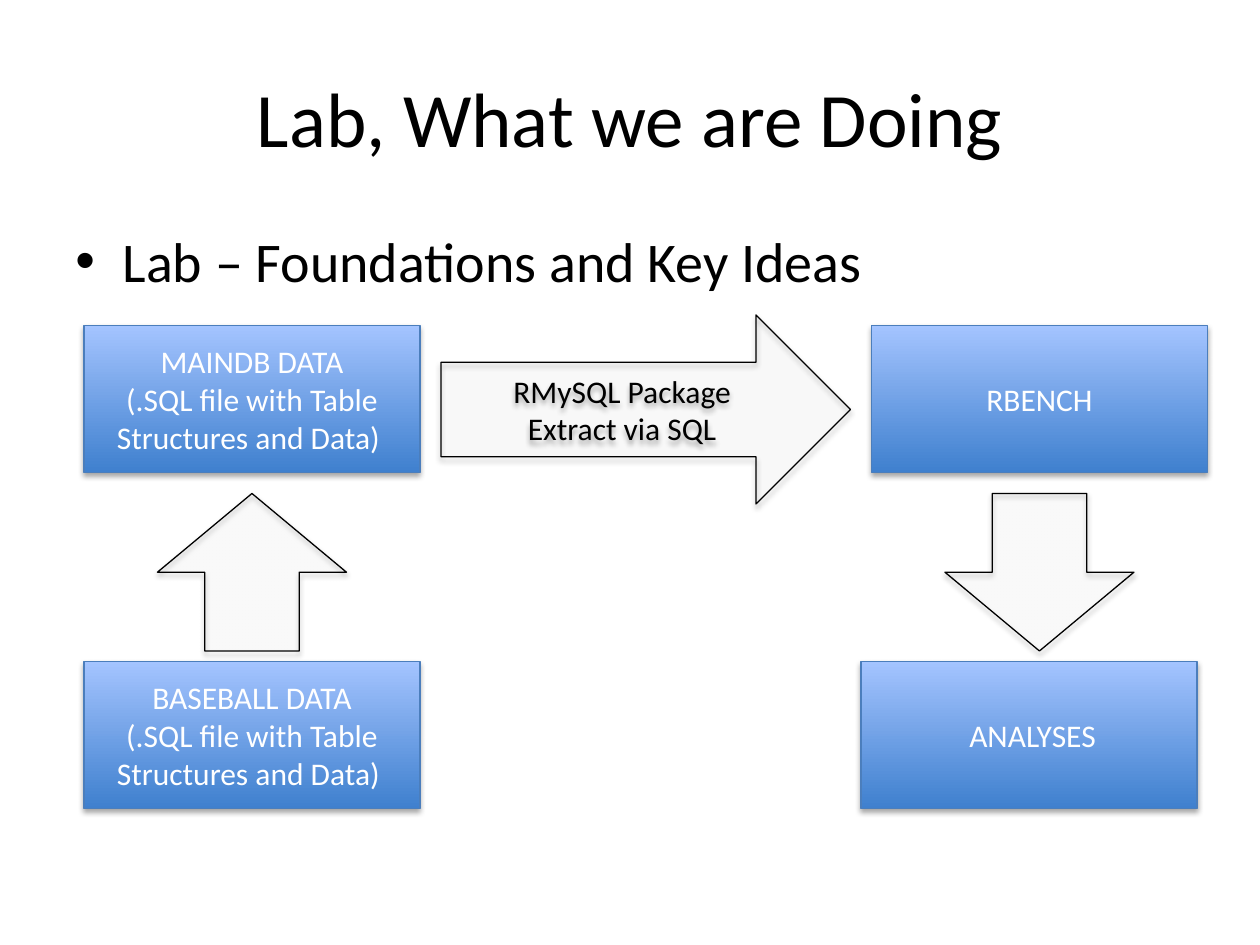
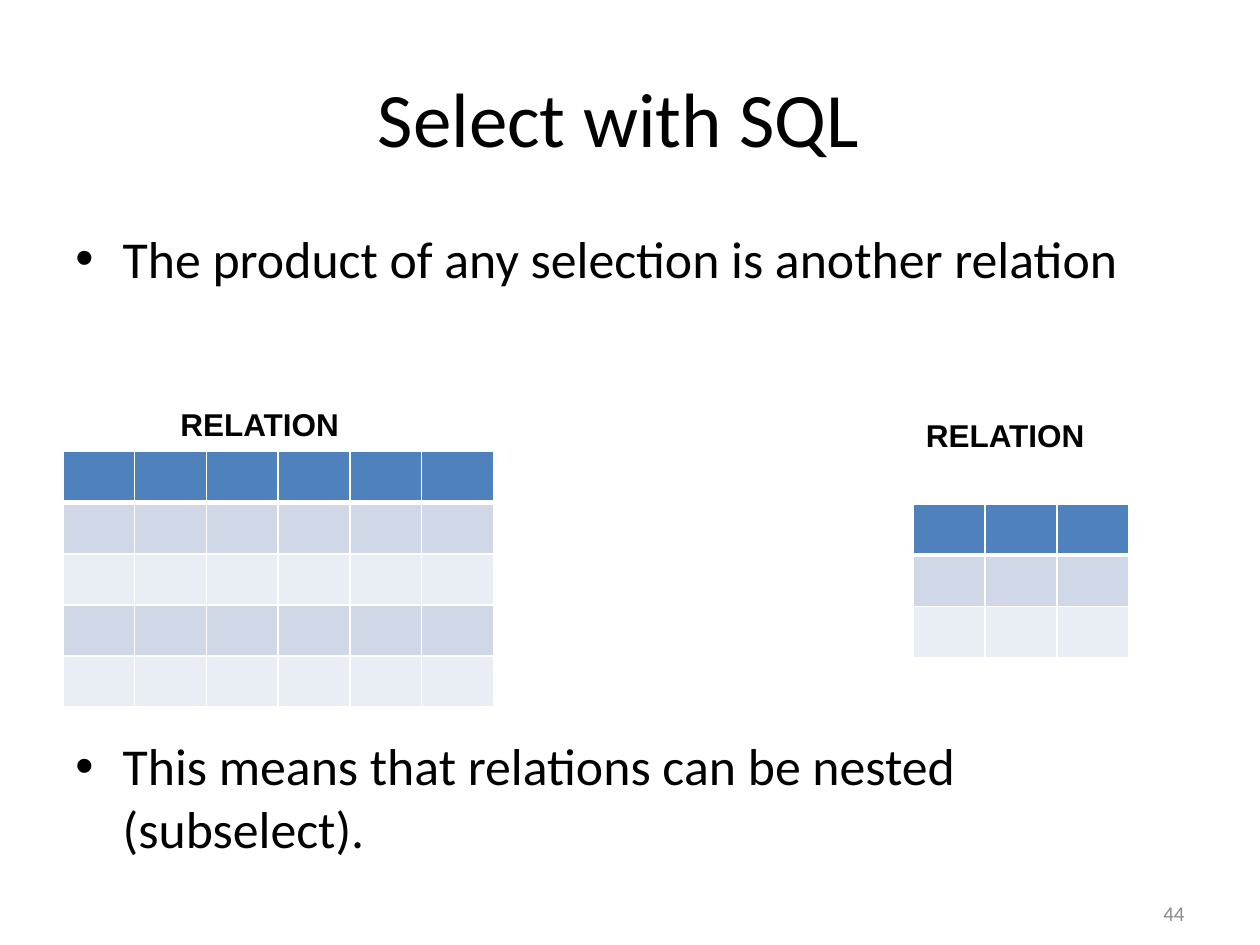
"""Build two slides: the lab data flow and selection with SQL."""
from lxml import etree
from pptx import Presentation
from pptx.dml.color import RGBColor
from pptx.enum.shapes import MSO_SHAPE
from pptx.enum.text import MSO_ANCHOR, PP_ALIGN
from pptx.oxml import parse_xml
from pptx.oxml.ns import nsdecls, qn
from pptx.util import Pt

RECT, RIGHT = MSO_SHAPE.RECTANGLE, MSO_SHAPE.RIGHT_ARROW
UP, DOWN = MSO_SHAPE.UP_ARROW, MSO_SHAPE.DOWN_ARROW
TOP, MID = MSO_ANCHOR.TOP, MSO_ANCHOR.MIDDLE
LEFT, MIDDLE, END = PP_ALIGN.LEFT, PP_ALIGN.CENTER, PP_ALIGN.RIGHT
HUES = {"ink": "000000", "paper": "FFFFFF", "deep": "3F80CE", "pale": "A4C4FF",
        "edge": "4B7EBC", "head": "4F81BD", "odd": "D0D8E8", "even": "E9EDF4",
        "grey": "8C8C8C"}
RGB = {name: RGBColor.from_string(hue) for name, hue in HUES.items()}
NS = nsdecls("a")
SHADE = (f'<a:effectLst {NS}><a:outerShdw blurRad="39370" dist="22860" dir="5400000" '
         f'rotWithShape="0"><a:srgbClr val="{HUES["ink"]}"><a:alpha val="35000"/>'
         '</a:srgbClr></a:outerShdw></a:effectLst>')


def write(shape, lines, size, hue="ink", align=LEFT, anchor=TOP, font="Calibri", bold=False):
    frame = shape.text_frame
    frame.word_wrap = True
    frame.vertical_anchor = anchor
    frame.text = "\n".join(lines)
    for para in frame.paragraphs:
        para.alignment = align
        for run in para.runs:
            run.font.name, run.font.size, run.font.bold = font, Pt(size), bold
            run.font.color.rgb = RGB[hue]
    return frame


def add_text(slide, spot, *args, **style):
    return write(slide.shapes.add_textbox(*map(Pt, spot)), *args, **style)


deck = Presentation()
deck.slide_width, deck.slide_height = Pt(720), Pt(540)
pages = [
    ("Lab, What we are Doing", 32, ["Lab – Foundations and Key Ideas"]),
    ("Select with SQL\t", 29.6, ["The product of any selection is another relation",
                                 "This means that relations can be nested (subselect)."]),
]
slides = []
for title, size, points in pages:
    slide = deck.slides.add_slide(deck.slide_layouts[6])
    add_text(slide, (36, 21.6, 648, 90), [title], 44, align=MIDDLE, anchor=MID)
    body = add_text(slide, (36, 126, 648, 356.4), points, size)
    for place, para in enumerate(body.paragraphs):
        para.space_before = Pt(254.4 * place)
        props = para._p.get_or_add_pPr()
        props.set("marL", str(Pt(27)))
        props.set("indent", str(Pt(-27)))
        etree.SubElement(props, qn("a:buFont")).set("typeface", "Arial")
        etree.SubElement(props, qn("a:buChar")).set("char", "•")
    slides.append(slide)
lab, query = slides

note = "(.SQL file with Table Structures and Data) "
boxes = [
    (48, 378, ["BASEBALL DATA", note]),
    (48, 186, ["MAINDB DATA", note]),
    (498, 186, ["RBENCH"]),
    (492, 378, [" ANALYSES"]),
]
for left, top, lines in boxes:
    box = lab.shapes.add_shape(RECT, Pt(left), Pt(top), Pt(192), Pt(84))
    box.fill.gradient()
    box.fill.gradient_angle = 90
    for stop, hue in zip(box.fill.gradient_stops, ("deep", "pale")):
        stop.color.rgb = RGB[hue]
        stop.position = 0 if hue == "deep" else 1
    box.line.color.rgb, box.line.width = RGB["edge"], Pt(0.75)
    box._element.spPr.append(parse_xml(SHADE))
    write(box, lines, 18, "paper", MIDDLE, MID)

arrows = [
    (UP, 90, 282, 108, 90, []),
    (RIGHT, 252, 180, 234, 108, ["RMySQL Package", "Extract via SQL"]),
    (DOWN, 540, 282, 108, 90, []),
]
for kind, left, top, width, height, lines in arrows:
    arrow = lab.shapes.add_shape(kind, Pt(left), Pt(top), Pt(width), Pt(height))
    arrow.fill.solid()
    arrow.fill.fore_color.rgb = RGB["ink"]
    tint = arrow._element.spPr.find(qn("a:solidFill"))[0]
    etree.SubElement(tint, qn("a:alpha")).set("val", "2000")
    arrow.line.color.rgb, arrow.line.width = RGB["ink"], Pt(0.75)
    arrow._element.spPr.append(parse_xml(SHADE))
    write(arrow, lines, 18, "ink", MIDDLE, MID)

tables = [(36, 258, 5, 6, 96, 228), (522, 288, 3, 3, 522, 234)]
for left, top, rows, cols, mark, level in tables:
    frame = query.shapes.add_table(rows, cols, Pt(left), Pt(top), Pt(41 * cols), Pt(29.25 * rows))
    grid = frame.table
    for row in range(rows):
        for col in range(cols):
            cell = grid.cell(row, col)
            props = cell._tc.get_or_add_tcPr()
            for side in "LRTB":
                thick = (row, side) in ((0, "B"), (1, "T"))
                props.append(parse_xml(
                    f'<a:ln{side} {NS} w="{Pt(3 if thick else 1)}"><a:solidFill>'
                    f'<a:srgbClr val="{HUES["paper"]}"/></a:solidFill></a:ln{side}>'))
            cell.fill.solid()
            cell.fill.fore_color.rgb = RGB["head" if row == 0 else "odd" if row % 2 else "even"]
    add_text(query, (mark, level, 108, 28.8), ["RELATION"], 18, font="Arial", bold=True)
add_text(query, (516, 507.6, 168, 28.8), ["44"], 12, "grey", END, MID)

deck.save("out.pptx")
